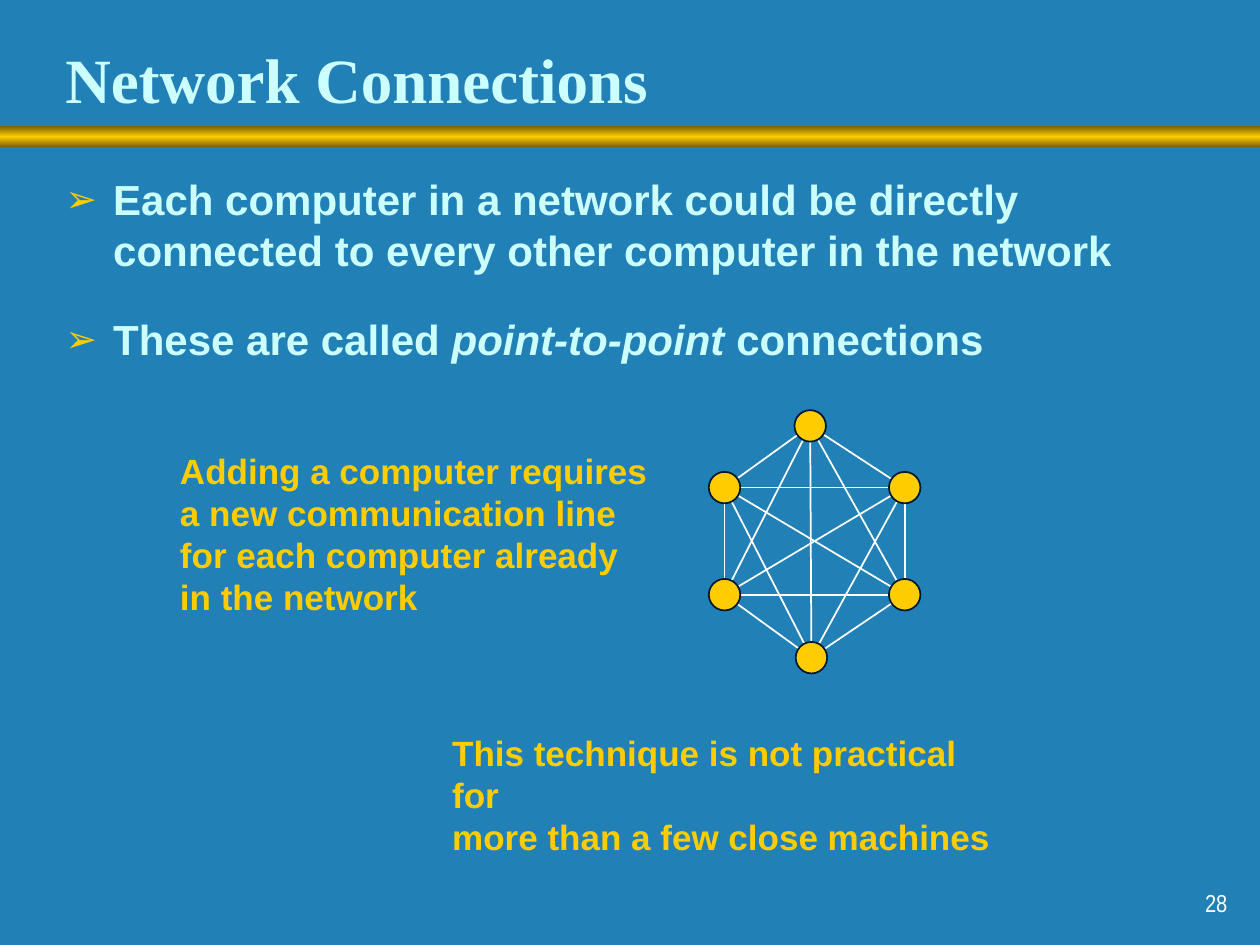
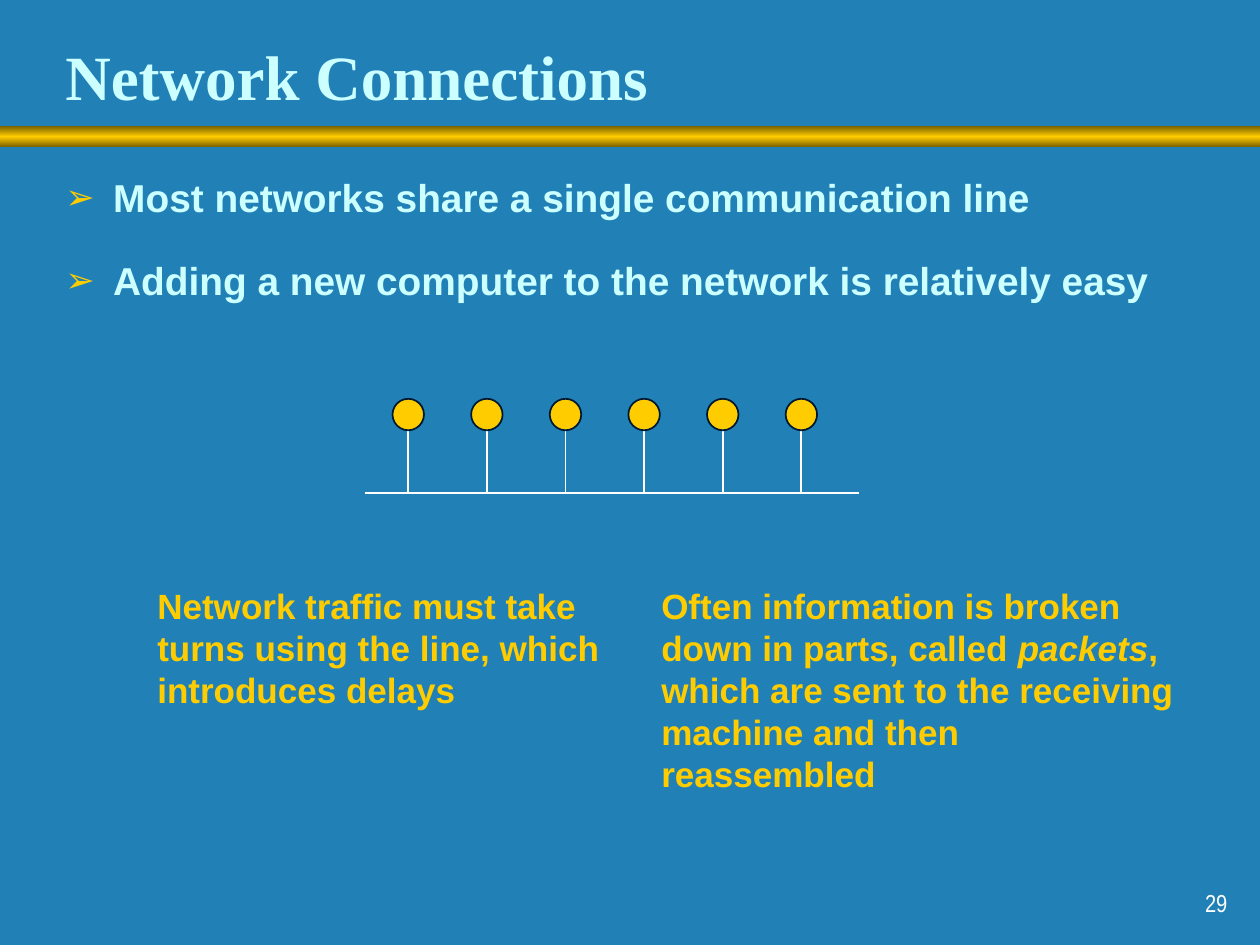
from copy import deepcopy
from dataclasses import dataclass
from itertools import combinations

from pptx import Presentation
from pptx.dml.color import RGBColor
from pptx.enum.shapes import MSO_CONNECTOR, MSO_SHAPE
from pptx.enum.text import MSO_ANCHOR, MSO_AUTO_SIZE, PP_ALIGN
from pptx.oxml.ns import qn
from pptx.util import Inches, Pt

BLANK_LAYOUT = 6


@dataclass(frozen=True)
class Theme:
    background: RGBColor = RGBColor(0x21, 0x81, 0xB7)
    heading: RGBColor = RGBColor(0xCC, 0xFF, 0xFF)
    accent: RGBColor = RGBColor(0xFF, 0xCC, 0x00)
    band_edge: RGBColor = RGBColor(0x75, 0x5E, 0x00)
    line: RGBColor = RGBColor(0xFF, 0xFF, 0xFF)
    outline: RGBColor = RGBColor(0x00, 0x19, 0x32)
    title_font: str = "Times New Roman"
    body_font: str = "Arial"
    number_font: str = "Arial Narrow"
    title_size: float = 36
    note_size: float = 20
    number_size: float = 14
    line_width: float = 1
    node_size: float = 0.25
    bullet_indent: float = 0.38


class Deck:
    def __init__(self, theme):
        self.theme = theme
        self.presentation = Presentation()
        self.presentation.slide_width = Inches(10)
        self.presentation.slide_height = Inches(7.5)
        self.slide = None

    def start_slide(self, title, number, title_anchor):
        theme = self.theme
        layout = self.presentation.slide_layouts[BLANK_LAYOUT]
        self.slide = self.presentation.slides.add_slide(layout)
        fill = self.slide.background.fill
        fill.solid()
        fill.fore_color.rgb = theme.background
        self.band()
        frame = self.text_frame(0.42, 0.22, 8.55, 0.75, title_anchor)
        self.add_runs(frame.paragraphs[0], title, theme.title_font,
                      theme.title_size, theme.heading)
        frame = self.text_frame(7.76, 6.83, 2.08, 0.5, MSO_ANCHOR.BOTTOM)
        frame.paragraphs[0].alignment = PP_ALIGN.RIGHT
        self.add_runs(frame.paragraphs[0], str(number), theme.number_font,
                      theme.number_size, theme.line, bold=False)

    def band(self):
        """Draw the gold bar, dark at both edges, under the title."""
        shape = self.slide.shapes.add_shape(
            MSO_SHAPE.RECTANGLE, 0, Inches(1), Inches(10), Inches(0.17))
        shape.shadow.inherit = False
        shape.line.fill.background()
        shape.fill.gradient()
        shape.fill.gradient_angle = 90
        stop_list = next(shape._element.spPr.iter(qn("a:gsLst")))
        stop_list.append(deepcopy(stop_list[0]))
        colors = (self.theme.band_edge, self.theme.accent, self.theme.band_edge)
        for index, (stop, color) in enumerate(zip(shape.fill.gradient_stops, colors)):
            stop.position = index / 2
            stop.color.rgb = color

    def text_frame(self, left, top, width, height, anchor=MSO_ANCHOR.TOP):
        box = self.slide.shapes.add_textbox(
            Inches(left), Inches(top), Inches(width), Inches(height))
        frame = box.text_frame
        frame.word_wrap = True
        frame.vertical_anchor = anchor
        return frame

    def add_runs(self, paragraph, text, font_name, size, color, bold=True):
        """Add text run by run; parts between asterisks are italic."""
        for index, part in enumerate(text.split("*")):
            run = paragraph.add_run()
            run.text = part
            font = run.font
            font.name, font.size, font.bold = font_name, Pt(size), bold
            font.color.rgb = color
            if index % 2:
                font.italic = True

    def paragraphs(self, frame, texts):
        for index, text in enumerate(texts):
            yield (frame.add_paragraph() if index else frame.paragraphs[0]), text

    def bullets(self, height, size, space_before, texts):
        theme = self.theme
        frame = self.text_frame(0.42, 1.33, 9.08, height)
        for paragraph, text in self.paragraphs(frame, texts):
            properties = paragraph._p.get_or_add_pPr()
            indent = Inches(theme.bullet_indent)
            properties.set("marL", str(indent))
            properties.set("indent", str(-indent))
            color = properties.makeelement(qn("a:buClr"), {})
            color.append(color.makeelement(qn("a:srgbClr"), {"val": str(theme.accent)}))
            properties.append(color)
            for tag, name, value in (("a:buSzPct", "val", "90000"),
                                     ("a:buFont", "typeface", theme.body_font),
                                     ("a:buChar", "char", "➢")):
                properties.append(properties.makeelement(qn(tag), {name: value}))
            if text != texts[0]:
                paragraph.space_before = Pt(space_before)
            self.add_runs(paragraph, text, theme.body_font, size, theme.heading)

    def note(self, left, top, width, height, lines):
        theme = self.theme
        frame = self.text_frame(left, top, width, height)
        frame.word_wrap = False
        frame.auto_size = MSO_AUTO_SIZE.SHAPE_TO_FIT_TEXT
        for paragraph, text in self.paragraphs(frame, lines):
            self.add_runs(paragraph, text, theme.body_font, theme.note_size, theme.accent)

    def line(self, start, end):
        connector = self.slide.shapes.add_connector(
            MSO_CONNECTOR.STRAIGHT, *map(Inches, (*start, *end)))
        connector.line.color.rgb = self.theme.line
        connector.line.width = Pt(self.theme.line_width)
        properties = connector._element.spPr
        properties.append(properties.makeelement(qn("a:effectLst"), {}))

    def node(self, center):
        """Draw one computer as a dot around its centre."""
        size = self.theme.node_size
        left, top = (Inches(value - size / 2) for value in center)
        shape = self.slide.shapes.add_shape(
            MSO_SHAPE.OVAL, left, top, Inches(size), Inches(size))
        shape.shadow.inherit = False
        shape.fill.solid()
        shape.fill.fore_color.rgb = self.theme.accent
        shape.line.color.rgb = self.theme.outline
        shape.line.width = Pt(self.theme.line_width)


def point_to_point_slide(deck):
    deck.start_slide("Network Connections", 28, MSO_ANCHOR.BOTTOM)
    deck.bullets(1.7, 24, 22.5, [
        "Each computer in a network could be directly connected to every "
        "other computer in the network",
        "These are called* point-to-point *connections",
    ])
    computers = [(x, y) for x in (5.75, 7.18) for y in (3.87, 4.72)]
    computers += [(6.43, 3.38), (6.44, 5.22)]
    for start, end in combinations(computers, 2):
        deck.line(start, end)
    for center in computers:
        deck.node(center)
    deck.note(3.49, 5.76, 4.65, 0.77, [
        "This technique is not practical for",
        "more than a few close machines",
    ])
    deck.note(1.33, 3.52, 3.91, 1.44, [
        "Adding a computer requires",
        "a new communication line",
        "for each computer already",
        "in the network",
    ])


def shared_line_slide(deck):
    deck.start_slide("Network Connections", 29, MSO_ANCHOR.MIDDLE)
    deck.bullets(1.5, 22.2, 21, [
        "Most networks share a single communication line",
        "Adding a new computer to the network is relatively easy",
    ])
    line_y, computer_y = 3.91, 3.29
    first_x, last_x, count = 3.24, 6.36, 6
    deck.line((2.9, line_y), (6.82, line_y))
    for index in range(count):
        x = first_x + index * (last_x - first_x) / (count - 1)
        deck.line((x, line_y), (x, computer_y))
        deck.node((x, computer_y))
    deck.note(1.15, 4.59, 3.71, 1.1, [
        "Network traffic must take",
        "turns using the line, which",
        "introduces delays",
    ])
    deck.note(5.15, 4.59, 4.34, 1.44, [
        "Often information is broken",
        "down in parts, called *packets*,",
        "which are sent to the receiving",
        "machine and then reassembled",
    ])


def main():
    deck = Deck(Theme())
    point_to_point_slide(deck)
    shared_line_slide(deck)
    deck.presentation.save("out.pptx")


if __name__ == "__main__":
    main()
